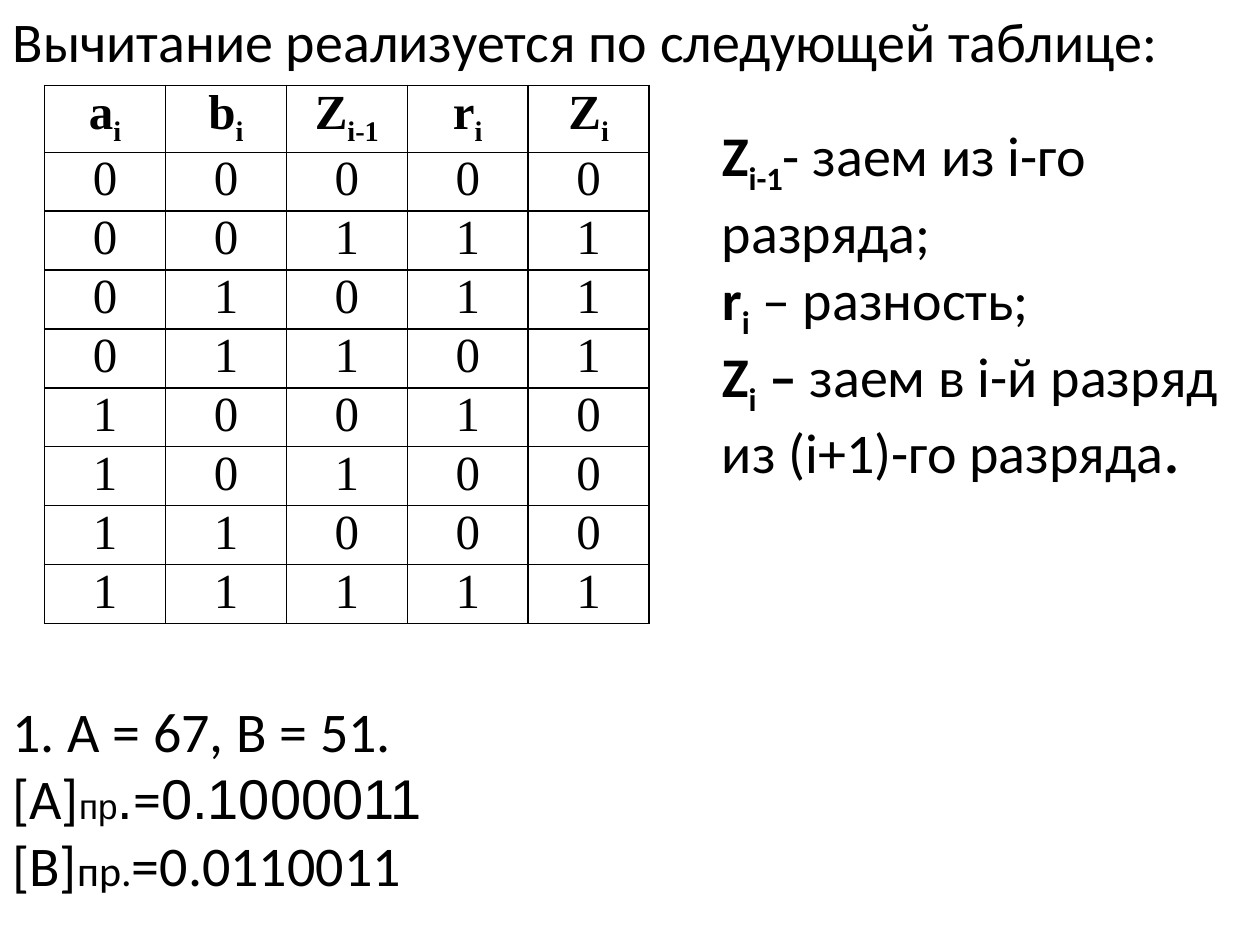
import itertools

import pptx
import pptx.dml.color
import pptx.enum.text
import pptx.oxml
import pptx.oxml.ns
import pptx.util

Pt = pptx.util.Pt
HUES = {"ink": "000000", "page": "FFFFFF"}
SANS, SERIF, ARIAL = "Calibri", "Times New Roman", "Arial"


def tint(name):
    """Return the named colour."""
    return pptx.dml.color.RGBColor.from_string(HUES[name])


def write(para, text, size=32, face=SANS, bold=False, sub=False):
    """Add one formatted run to a paragraph."""
    run = para.add_run()
    run.text = text
    font = run.font
    font.size, font.name, font.bold = Pt(size), face, bold
    font.color.rgb = tint("ink")
    if sub:
        run._r.get_or_add_rPr().set("baseline", "-25000")


def fill(frame, lines):
    """Write lines, each a list of (text, format) runs, into a text frame."""
    frame.word_wrap = True
    frame.auto_size = pptx.enum.text.MSO_AUTO_SIZE.SHAPE_TO_FIT_TEXT
    frame.vertical_anchor = pptx.enum.text.MSO_ANCHOR.TOP
    for num, line in enumerate(lines):
        para = frame.add_paragraph() if num else frame.paragraphs[0]
        para.alignment = pptx.enum.text.PP_ALIGN.LEFT
        for text, form in line:
            write(para, text, **form)


def head(slide, x, y, w, h):
    """Place the title."""
    title = slide.shapes.title
    title.left, title.top, title.width, title.height = Pt(x), Pt(y), Pt(w), Pt(h)
    fill(title.text_frame, [[("Вычитание реализуется по следующей таблице:", {})]])


def edge(cell):
    """Draw a thin line on all four sides of a cell."""
    props = cell._tc.get_or_add_tcPr()
    for side in ("lnL", "lnR", "lnT", "lnB"):
        props.append(pptx.oxml.parse_xml(
            f'<a:{side} {pptx.oxml.ns.nsdecls("a")} w="12700"><a:solidFill>'
            f'<a:srgbClr val="{HUES["ink"]}"/></a:solidFill></a:{side}>'))


def grid(slide, x, y, w, h):
    """Place the truth table of one-bit subtraction with borrow."""
    heads = [("a", "i"), ("b", "i"), ("Z", "i-1"), ("r", "i"), ("Z", "i")]
    rows = [heads]
    for a, b, z in itertools.product((0, 1), repeat=3):
        rows.append([(str(bit), "") for bit in (a, b, z, a ^ b ^ z, int(a < b + z))])
    table = slide.shapes.add_table(len(rows), len(heads), Pt(x), Pt(y), Pt(w), Pt(h)).table
    table.first_row = table.horz_banding = False
    for col in table.columns:
        col.width = Pt(w / len(heads))
    for row, items in zip(table.rows, rows):
        row.height = Pt(h / len(rows))
        for cell, (text, index) in zip(row.cells, items):
            cell.margin_left = cell.margin_right = Pt(5)
            cell.margin_top = cell.margin_bottom = Pt(0)
            edge(cell)
            cell.fill.background()
            para = cell.text_frame.paragraphs[0]
            para.alignment = pptx.enum.text.PP_ALIGN.CENTER
            write(para, text, 28, SERIF, bool(index))
            if index:
                write(para, index, 28, SERIF, True, True)


def notes(slide, x, y, w, h):
    """Place the key to the symbols."""
    bold, low = {"bold": True}, {"bold": True, "sub": True}
    box = slide.shapes.add_textbox(Pt(x), Pt(y), Pt(w), Pt(h))
    fill(box.text_frame, [
        [("Z", bold), ("i-1", low), ("- заем из i-го разряда;", {})],
        [("r", bold), ("i", low), (" – разность;", {})],
        [("Z", bold), ("i", low), (" – ", bold),
         ("заем в i-й разряд из (i+1)-го разряда", {}), (".", bold)],
    ])


def sample(slide, x, y, w, h):
    """Place the worked numbers."""
    arial = {"face": ARIAL}
    box = slide.shapes.add_textbox(Pt(x), Pt(y), Pt(w), Pt(h))
    fill(box.text_frame, [
        [("1. А = 67, В = 51.", {})],
        [("[А]", {}), ("пр", {"face": ARIAL, "size": 20}), (".", arial),
         ("=", {}), ("0.1000011", arial)],
        [("[В]", {}), ("пр.", {"size": 24}), ("=0.0110011", {})],
    ])


def main():
    """Build and save the slide."""
    deck = pptx.Presentation()
    deck.slide_width, deck.slide_height = Pt(720), Pt(540)
    slide = deck.slides.add_slide(deck.slide_layouts.get_by_name("Title Only"))
    slide.background.fill.solid()
    slide.background.fill.fore_color.rgb = tint("page")
    head(slide, 0, 0, 720, 46)
    grid(slide, 25.5, 48.75, 345.5, 252)
    notes(slide, 405.4, 65.5, 314.6, 240)
    sample(slide, 0, 394.5, 720, 124)
    deck.save("out.pptx")


if __name__ == "__main__":
    main()
